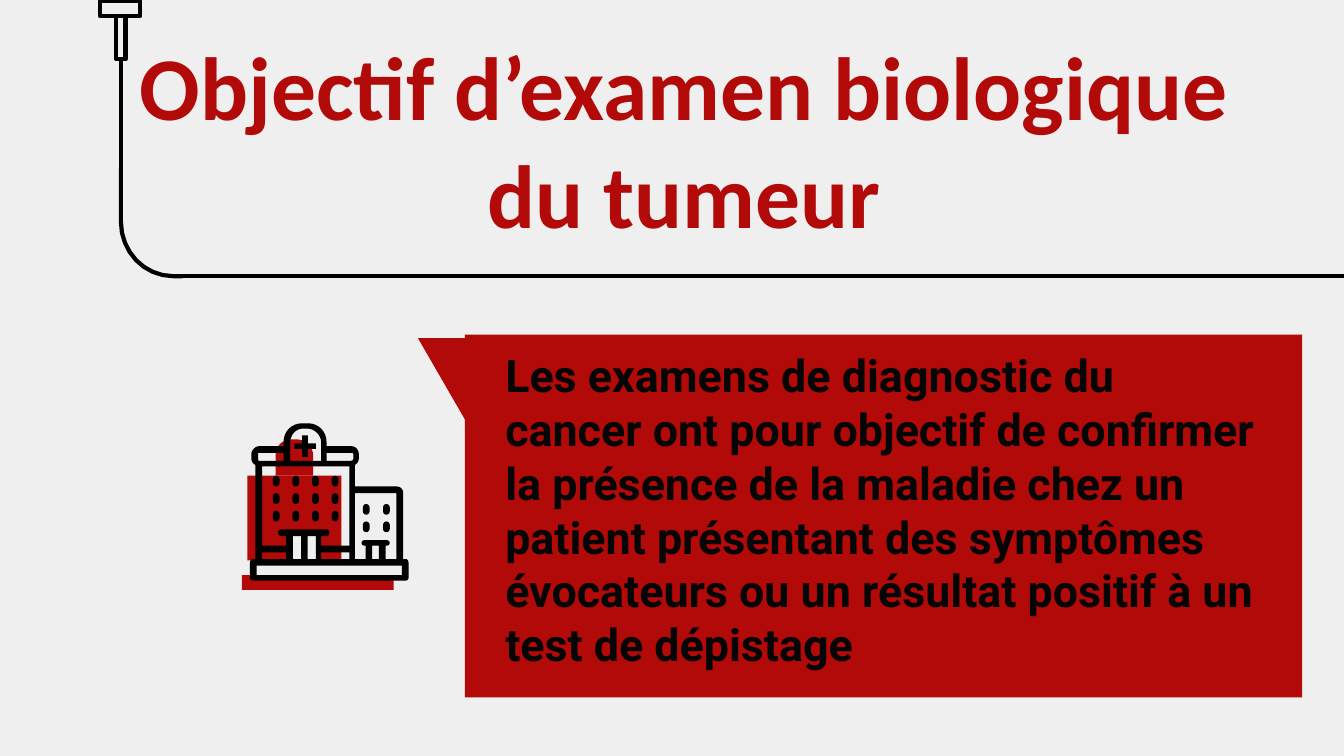
from pptx import Presentation
from pptx.dml.color import RGBColor
from pptx.enum.shapes import MSO_CONNECTOR, MSO_SHAPE
from pptx.enum.text import MSO_ANCHOR, PP_ALIGN
from pptx.util import Inches, Pt
from lxml.etree import SubElement
from pptx.oxml.ns import qn

HUE = {name: RGBColor.from_string(code) for name, code in {
    "back": "EFEFEF", "red": "B20909", "ink": "000000", "text": "050505"}.items()}

deck = Presentation()
deck.slide_width = Inches(10)
deck.slide_height = deck.slide_width * 9 // 16
unit = deck.slide_width // 1000  # all lengths are in columns of a 1000-wide grid
slide = deck.slides.add_slide(deck.slide_layouts[6])
slide.background.fill.solid()
slide.background.fill.fore_color.rgb = HUE["back"]
shapes = slide.shapes


def paint(shape, fill=None, line=None):
    """Set a flat fill and a 2.25 pt outline, each one optional."""
    shape.shadow.inherit = False
    for part, hue in ((shape.fill, fill), (shape.line.fill, line)):
        if hue:
            part.solid()
            part.fore_color.rgb = HUE[hue]
        else:
            part.background()
    if line:
        shape.line.width = Pt(2.25)
    return shape


def trace(loops, close=True):
    """Join loops of points; a 6-tuple is a cubic curve from the point before."""
    pen = None
    for loop in loops:
        dots = [loop[0]]
        for step in loop[1:]:
            if len(step) == 2:
                dots.append(step)
                continue
            knots = (dots[-1], step[:2], step[2:4], step[4:])
            for i in range(1, 9):
                t = i / 8
                mix = ((1 - t) ** 3, 3 * t * (1 - t) ** 2, 3 * t * t * (1 - t), t ** 3)
                dots.append(tuple(sum(m * k[a] for m, k in zip(mix, knots))
                                  for a in (0, 1)))
        dots = [(round(x * unit), round(y * unit)) for x, y in dots]
        if pen is None:
            pen = shapes.build_freeform(*dots[0], scale=1.0)
        else:
            pen.move_to(*dots[0])
        pen.add_line_segments(dots[1:], close=close)
    return pen.convert_to_shape()


# Drip line around the title
for ends in ((90, 128, 90, 45), (132, 205.5, 1000, 205.5)):
    rule = shapes.add_connector(MSO_CONNECTOR.STRAIGHT, *(round(n * unit) for n in ends))
    rule.line.color.rgb = HUE["ink"]
    rule.line.width = Pt(2.25)
    SubElement(rule._element.spPr, qn("a:effectLst"))
paint(trace([[(90, 125), (90, 165), (90, 187, 107, 205.5, 129, 205.5), (136, 205.5)]],
            close=False), line="ink")
for box in ((74.5, 1, 30, 11), (86.5, 12, 7, 32)):
    paint(shapes.add_shape(MSO_SHAPE.RECTANGLE, *(round(n * unit) for n in box)),
          "back", "ink")

# Speech panel
tail = paint(shapes.add_shape(MSO_SHAPE.ISOSCELES_TRIANGLE, 320 * unit, 236 * unit,
                              73 * unit, 63 * unit), "red")
tail.rotation = 60
panel = paint(shapes.add_shape(MSO_SHAPE.RECTANGLE, 346 * unit, 249 * unit,
                               623 * unit, 270 * unit), "red")
title = shapes.add_textbox(87 * unit, 22 * unit, 844 * unit, 162 * unit)
goal = ("Les examens de diagnostic du cancer ont pour objectif de confirmer la présence "
        "de la maladie chez un patient présentant des symptômes évocateurs ou un "
        "résultat positif à un test de dépistage")
for shape, words, size, font, hue, align, anchor, left, right in (
        (panel, goal, 24, "Roboto", "text", PP_ALIGN.LEFT, MSO_ANCHOR.TOP, 30, 33),
        (title, "Objectif d’examen biologique du tumeur", 48, "Calibri", "red",
         PP_ALIGN.CENTER, MSO_ANCHOR.MIDDLE, 10, 10)):
    frame = shape.text_frame
    frame.word_wrap = True
    frame.vertical_anchor = anchor
    frame.margin_left = left * unit
    frame.margin_right = right * unit
    frame.margin_top = frame.margin_bottom = 10 * unit
    para = frame.paragraphs[0]
    para.alignment = align
    run = para.add_run()
    run.text = words
    run.font.size = Pt(size)
    run.font.name = font
    run.font.bold = True
    run.font.color.rgb = HUE[hue]

# Hospital: red underlay
for box in ((180, 428, 113, 11), (204, 399, 12, 18)):
    paint(shapes.add_shape(MSO_SHAPE.RECTANGLE, *(n * unit for n in box)), "red")
dome = [(233, 354), (233, 339), (233, 332, 227, 327, 221, 327), (217, 327),
        (210, 327, 205, 332, 205, 339), (205, 354)]
wall = [(184, 354), (254, 354), (254, 417), (229, 417), (229, 405), (207, 405),
        (207, 417), (184, 417)]
for loop in (dome, wall):
    paint(trace([loop]), "red")

# Hospital: cross, windows and door
cross = paint(shapes.add_shape(MSO_SHAPE.CROSS, 219 * unit, 324 * unit,
                               16 * unit, 16 * unit), "ink")
cross.adjustments[0] = 0.37
panes = [(203 + 14.6 * col, 354 + 13 * row) for row in range(3) for col in range(4)]
panes += [(270 + 15 * col, 375 + 13 * row) for row in range(2) for col in range(2)]
for x, y in panes:
    pane = paint(shapes.add_shape(MSO_SHAPE.ROUNDED_RECTANGLE, round(x * unit), y * unit,
                                  5 * unit, 8 * unit), "ink")
    pane.adjustments[0] = 0.5
paint(shapes.add_shape(MSO_SHAPE.RECTANGLE, 216 * unit, 397 * unit,
                       21 * unit, 22 * unit), "back")

# Hospital: black outline, cut out by its holes
shell = [(225, 315), (217, 315, 211, 321, 211, 329), (211, 332), (193, 332),
         (190, 332, 187, 335, 187, 338), (187, 341), (187, 343, 188, 345, 190, 346),
         (190, 416), (189, 416), (187, 416, 186, 417, 186, 419), (186, 430),
         (186, 431, 187, 432, 189, 432), (302, 432), (303, 432, 304, 431, 304, 430),
         (304, 419), (304, 417, 303, 416, 302, 416), (300, 416), (300, 367),
         (300, 364, 298, 362, 295, 362), (264, 362), (264, 346),
         (266, 345, 267, 343, 267, 341), (267, 338), (267, 335, 265, 332, 261, 332),
         (243, 332), (243, 329), (243, 321, 237, 315, 229, 315)]
eaves = [[(211, 337), (211, 343), (193, 343), (192, 343, 192, 342, 192, 341),
          (192, 338), (192, 337, 192, 337, 193, 337)],
         [(261, 337), (262, 337, 263, 337, 263, 338), (263, 341),
          (263, 342, 262, 343, 261, 343), (243, 343), (243, 337)]]
arch = [(229, 319), (234, 319, 239, 324, 239, 329), (239, 343), (216, 343),
        (216, 329), (216, 324, 220, 319, 225, 319)]
front = [(260, 347), (260, 406), (239, 406), (239, 399), (243, 399),
         (244, 399, 245, 398, 245, 396), (245, 395, 244, 394, 243, 394), (210, 394),
         (208, 394, 207, 395, 207, 396), (207, 398, 208, 399, 210, 399), (213, 399),
         (213, 406), (195, 406), (195, 347)]
annex = [(295, 367), (295, 416), (287, 416), (287, 406), (288, 406),
         (289, 406, 290, 405, 290, 404), (290, 403, 289, 402, 288, 402), (271, 402),
         (270, 402, 269, 403, 269, 404), (269, 405, 270, 406, 271, 406), (272, 406),
         (272, 416), (264, 416), (264, 367)]
slots = [[(l, t), (r, t), (r, b), (l, b)] for l, t, r, b in (
    (195, 411, 213, 416), (218, 399, 224, 416), (229, 399, 235, 416),
    (239, 411, 260, 416), (277, 406, 282, 416), (191, 421, 299, 428))]
paint(trace([shell, arch, front, annex, *eaves, *slots]), "ink")

deck.save("out.pptx")
